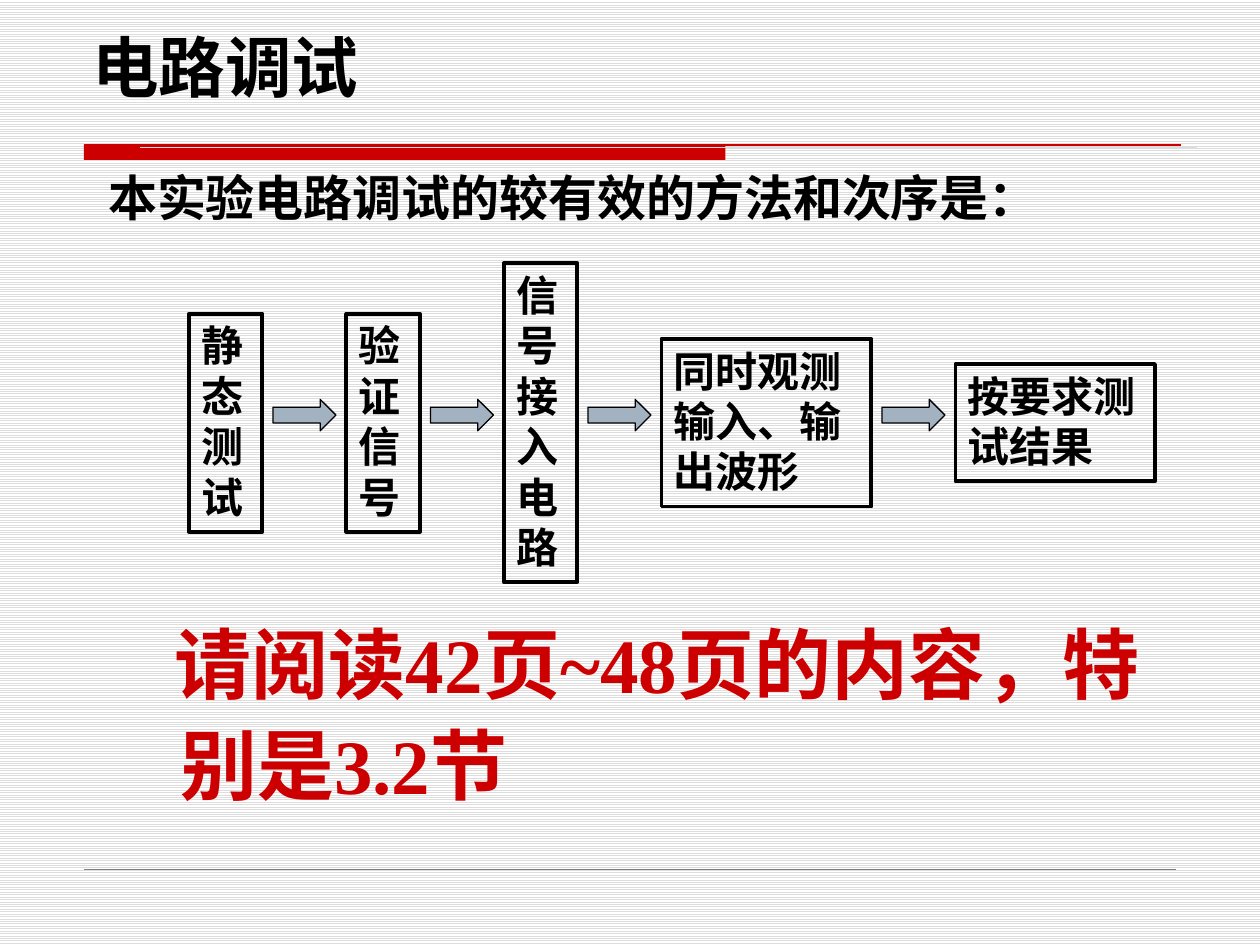
import pptx
import pptx.dml.color
import pptx.enum.dml
import pptx.enum.shapes
import pptx.enum.text
import pptx.oxml.ns
import pptx.util
from lxml import etree

Pt = pptx.util.Pt
RGBColor = pptx.dml.color.RGBColor
MSO_SHAPE = pptx.enum.shapes.MSO_SHAPE
MSO_ANCHOR = pptx.enum.text.MSO_ANCHOR
MSO_AUTO_SIZE = pptx.enum.text.MSO_AUTO_SIZE
PP_ALIGN = pptx.enum.text.PP_ALIGN

BLACK = RGBColor(0x00, 0x00, 0x00)
WHITE = RGBColor(0xFF, 0xFF, 0xFF)
RED = RGBColor(0xCC, 0x00, 0x00)
GREY = RGBColor(0x80, 0x80, 0x80)
PALE = RGBColor(0xDD, 0xDD, 0xDD)
STEEL = RGBColor(0xA3, 0xB2, 0xC1)


class Deck:
    """Holds the text style and the current slide."""
    head_font = "DejaVu Sans"
    body_font = "Times New Roman"

    def __init__(self, prs):
        self.slide = prs.slides.add_slide(prs.slide_layouts[5])

    def background(self):
        fill = self.slide.background.fill
        fill.patterned()
        fill.pattern = pptx.enum.dml.MSO_PATTERN.LIGHT_HORIZONTAL
        fill.fore_color.rgb = PALE
        fill.back_color.rgb = WHITE

    def add_run(self, tf, text, size, color=BLACK, font=body_font,
                anchor=MSO_ANCHOR.TOP, auto_size=MSO_AUTO_SIZE.SHAPE_TO_FIT_TEXT):
        tf.word_wrap = True
        tf.auto_size = auto_size
        tf.vertical_anchor = anchor
        p = tf.paragraphs[0]
        p.alignment = PP_ALIGN.LEFT
        r = p.add_run()
        r.text = text
        r.font.name = font
        r.font.size = Pt(size)
        r.font.bold = True
        r.font.color.rgb = color
        return p

    def title(self, text, x, y, w, h):
        sp = self.slide.shapes.title
        sp.left, sp.top, sp.width, sp.height = Pt(x), Pt(y), Pt(w), Pt(h)
        self.add_run(sp.text_frame, text, 38, font=self.head_font,
                     anchor=MSO_ANCHOR.BOTTOM, auto_size=MSO_AUTO_SIZE.NONE)

    def text(self, text, x, y, w, h, size, color=BLACK):
        sp = self.slide.shapes.add_textbox(Pt(x), Pt(y), Pt(w), Pt(h))
        p = self.add_run(sp.text_frame, text, size, color)
        p.line_spacing = 1.1
        return p

    def shape(self, kind, x, y, w, h, fill=None, line=None, weight=0.75):
        sp = self.slide.shapes.add_shape(kind, Pt(x), Pt(y), Pt(w), Pt(h))
        sp.shadow.inherit = False
        if fill is None:
            sp.fill.background()
        else:
            sp.fill.solid()
            sp.fill.fore_color.rgb = fill
        if line is None:
            sp.line.fill.background()
        else:
            sp.line.color.rgb = line
            sp.line.width = Pt(weight)
        return sp

    def step(self, text, x, y, w, h):
        sp = self.shape(MSO_SHAPE.RECTANGLE, x, y, w, h, line=BLACK, weight=2.25)
        self.add_run(sp.text_frame, text, 24)

    def arrow(self, x, y, w, h):
        self.shape(MSO_SHAPE.RIGHT_ARROW, x, y, w, h, fill=STEEL, line=BLACK)

    def rule(self, x1, x2, y, color, weight):
        cxn = self.slide.shapes.add_connector(
            pptx.enum.shapes.MSO_CONNECTOR.STRAIGHT, Pt(x1), Pt(y), Pt(x2), Pt(y))
        cxn.line.color.rgb = color
        cxn.line.width = Pt(weight)
        etree.SubElement(cxn._element.spPr, pptx.oxml.ns.qn("a:effectLst"))


def main():
    prs = pptx.Presentation()
    prs.slide_width, prs.slide_height = Pt(720), Pt(540)
    deck = Deck(prs)

    # Background, title and rules
    deck.background()
    deck.shape(MSO_SHAPE.RECTANGLE, 48, 82.8, 366.5, 8.6, fill=RED)
    deck.rule(48, 674.6, 82.8, RED, 0.75)
    deck.rule(48, 672, 496.8, GREY, 0.25)
    deck.title("电路调试", 45.4, 20.2, 630, 43.9)
    deck.rule(80, 684, 84.2, PALE, 0.25)

    # Introduction
    deck.text("本实验电路调试的较有效的方法和次序是：", 54.7, 88.6, 600, 43.9, 28)

    # Flow: each step is centred on one line, arrows fill the gaps
    steps = [("静态测试", 42, 4), ("验证信号", 42, 4), ("信号接入电路", 42, 6),
             ("同时观测输入、输出波形", 120, 3), ("按要求测试结果", 114, 2)]
    x, mid, gap, arrow_w = 108, 241.6, 6, 36
    for i, (text, w, lines) in enumerate(steps):
        if i:
            deck.arrow(x + gap, 228.2, arrow_w, 18)
            x += arrow_w + 2 * gap
        h = 28.8 * lines + 9.4
        deck.step(text, x, mid - h / 2, w, h)
        x += w

    # Reading task, with a slight hanging indent
    p = deck.text("请阅读42页~48页的内容，特别是3.2节", 59.8, 343.4, 623.5, 123.1, 44, RED)
    pPr = p._p.get_or_add_pPr()
    pPr.set("marL", str(Pt(36)))
    pPr.set("indent", str(Pt(-3)))

    prs.save("out.pptx")


if __name__ == "__main__":
    main()
